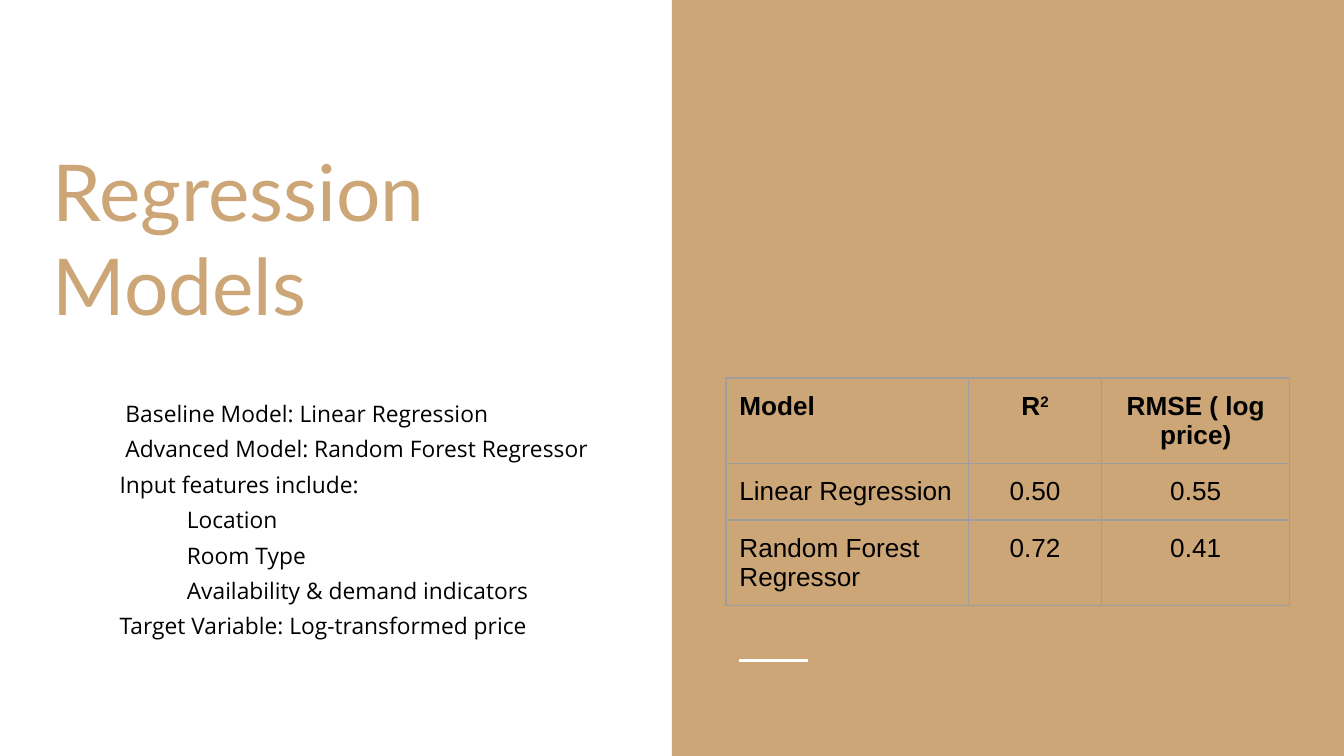
from lxml import etree
from pptx import Presentation
from pptx.dml.color import RGBColor
from pptx.enum.shapes import MSO_CONNECTOR, MSO_SHAPE
from pptx.enum.text import MSO_ANCHOR, MSO_AUTO_SIZE, PP_ALIGN
from pptx.oxml.ns import qn
from pptx.util import Pt

RECTANGLE = MSO_SHAPE.RECTANGLE
STRAIGHT = MSO_CONNECTOR.STRAIGHT
MIDDLE = MSO_ANCHOR.MIDDLE
TOP = MSO_ANCHOR.TOP
NO_AUTOFIT = MSO_AUTO_SIZE.NONE
LEFT = PP_ALIGN.LEFT
CENTER = PP_ALIGN.CENTER

TAN = "CCA677"
BLACK = "000000"
WHITE = "FFFFFF"
GREY = "9E9E9E"
INSET = Pt(7.2)

POINTS = [
    (0, " Baseline Model: Linear Regression"),
    (0, " Advanced Model: Random Forest Regressor"),
    (0, "Input features include:"),
    (1, "Location"),
    (1, "Room Type"),
    (1, "Availability & demand indicators"),
    (0, "Target Variable: Log-transformed price"),
]
RESULTS = [
    ["Model", "R", "RMSE ( log price)"],
    ["Linear Regression", "0.50", "0.55"],
    ["Random Forest Regressor", "0.72", "0.41"],
]
COLUMN_WIDTHS = [129.8, 71.6, 100.6]
ROW_HEIGHTS = [45.8, 30, 46]


def color(value):
    return RGBColor.from_string(value)


def set_font(p, name, size, value, bold=False):
    p.font.name = name
    p.font.size = Pt(size)
    p.font.bold = bold
    p.font.color.rgb = color(value)


def set_frame(tf, anchor):
    tf.word_wrap = True
    tf.auto_size = NO_AUTOFIT
    tf.vertical_anchor = anchor
    tf.margin_left = tf.margin_right = INSET
    tf.margin_top = tf.margin_bottom = INSET


def add_panel(s):
    sp = s.shapes.add_shape(RECTANGLE, Pt(360), Pt(0), Pt(360), Pt(405))
    sp.shadow.inherit = False
    sp.fill.solid()
    sp.fill.fore_color.rgb = color(TAN)
    sp.line.fill.background()


def add_rule(s):
    line = s.shapes.add_connector(STRAIGHT, Pt(396), Pt(354), Pt(432.7), Pt(354))
    line.line.color.rgb = color(WHITE)
    line.line.width = Pt(1.5)
    etree.SubElement(line._element.spPr, qn("a:effectLst"))


def set_title(s, text):
    sp = s.shapes.title
    sp.left, sp.top, sp.width, sp.height = Pt(21), Pt(57), Pt(318), Pt(140.4)
    set_frame(sp.text_frame, MIDDLE)
    sp.text_frame.text = text
    p = sp.text_frame.paragraphs[0]
    p.alignment = LEFT
    set_font(p, "Lato", 42, TAN)


def add_points(s):
    sp = s.shapes.add_textbox(Pt(21), Pt(202.5), Pt(318), Pt(169))
    tf = sp.text_frame
    set_frame(tf, TOP)
    for i, (level, text) in enumerate(POINTS):
        p = tf.paragraphs[0] if i == 0 else tf.add_paragraph()
        p.text = text
        p.level = level
        p.line_spacing = 1.3
        pPr = p._p.get_or_add_pPr()
        pPr.set("marL", str(Pt(36 * (level + 1))))
        pPr.set("indent", "0")
        set_font(p, "Open Sans", 12.2, BLACK)


def set_borders(cell):
    tcPr = cell._tc.get_or_add_tcPr()
    for i, side in enumerate(("lnL", "lnR", "lnT", "lnB")):
        ln = etree.Element(qn(f"a:{side}"), w=str(Pt(0.75)))
        fill = etree.SubElement(ln, qn("a:solidFill"))
        etree.SubElement(fill, qn("a:srgbClr"), val=GREY)
        tcPr.insert(i, ln)


def set_cell(cell, text, alignment, bold):
    cell.fill.background()
    set_borders(cell)
    cell.margin_left = cell.margin_right = INSET
    cell.margin_top = cell.margin_bottom = INSET
    p = cell.text_frame.paragraphs[0]
    p.add_run().text = text
    p.alignment = alignment
    set_font(p, "Arial", 14, BLACK, bold)


def add_superscript(cell, text):
    r = cell.text_frame.paragraphs[0].add_run()
    r.text = text
    r._r.get_or_add_rPr().set("baseline", "30000")


def add_results(s):
    frame = s.shapes.add_table(
        len(RESULTS), len(COLUMN_WIDTHS), Pt(388.9), Pt(202.5),
        Pt(sum(COLUMN_WIDTHS)), Pt(sum(ROW_HEIGHTS)),
    )
    table = frame.table
    table.first_row = False
    table.horz_banding = False
    for column, width in zip(table.columns, COLUMN_WIDTHS):
        column.width = Pt(width)
    for row, height in zip(table.rows, ROW_HEIGHTS):
        row.height = Pt(height)
    for i, values in enumerate(RESULTS):
        for j, text in enumerate(values):
            set_cell(table.cell(i, j), text, CENTER if j else LEFT, i == 0)
    add_superscript(table.cell(0, 1), "2")


def main():
    prs = Presentation()
    prs.slide_width, prs.slide_height = Pt(720), Pt(405)
    s = prs.slides.add_slide(prs.slide_layouts[5])
    add_panel(s)
    add_rule(s)
    set_title(s, "Regression Models")
    add_points(s)
    add_results(s)
    prs.save("out.pptx")


if __name__ == "__main__":
    main()
